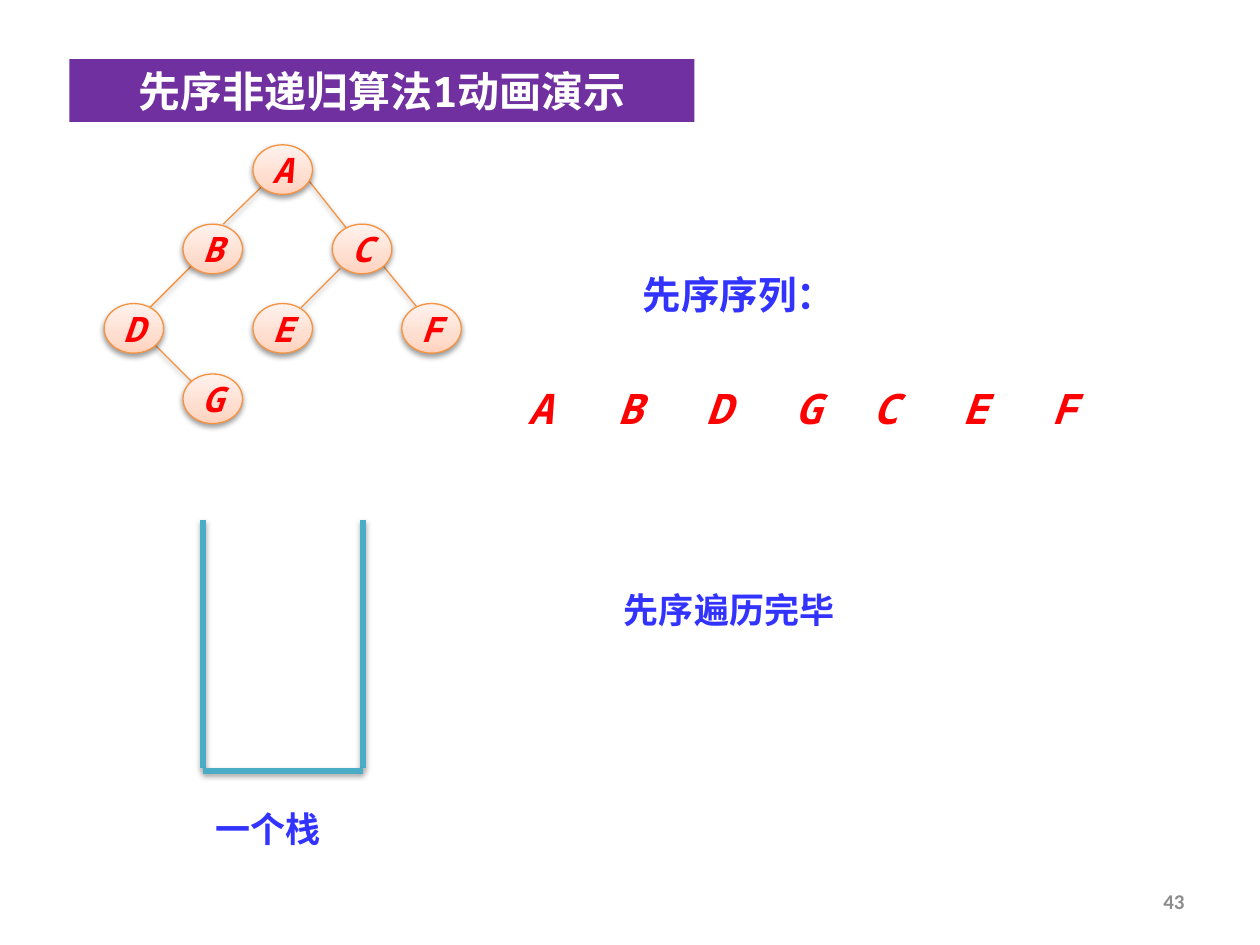
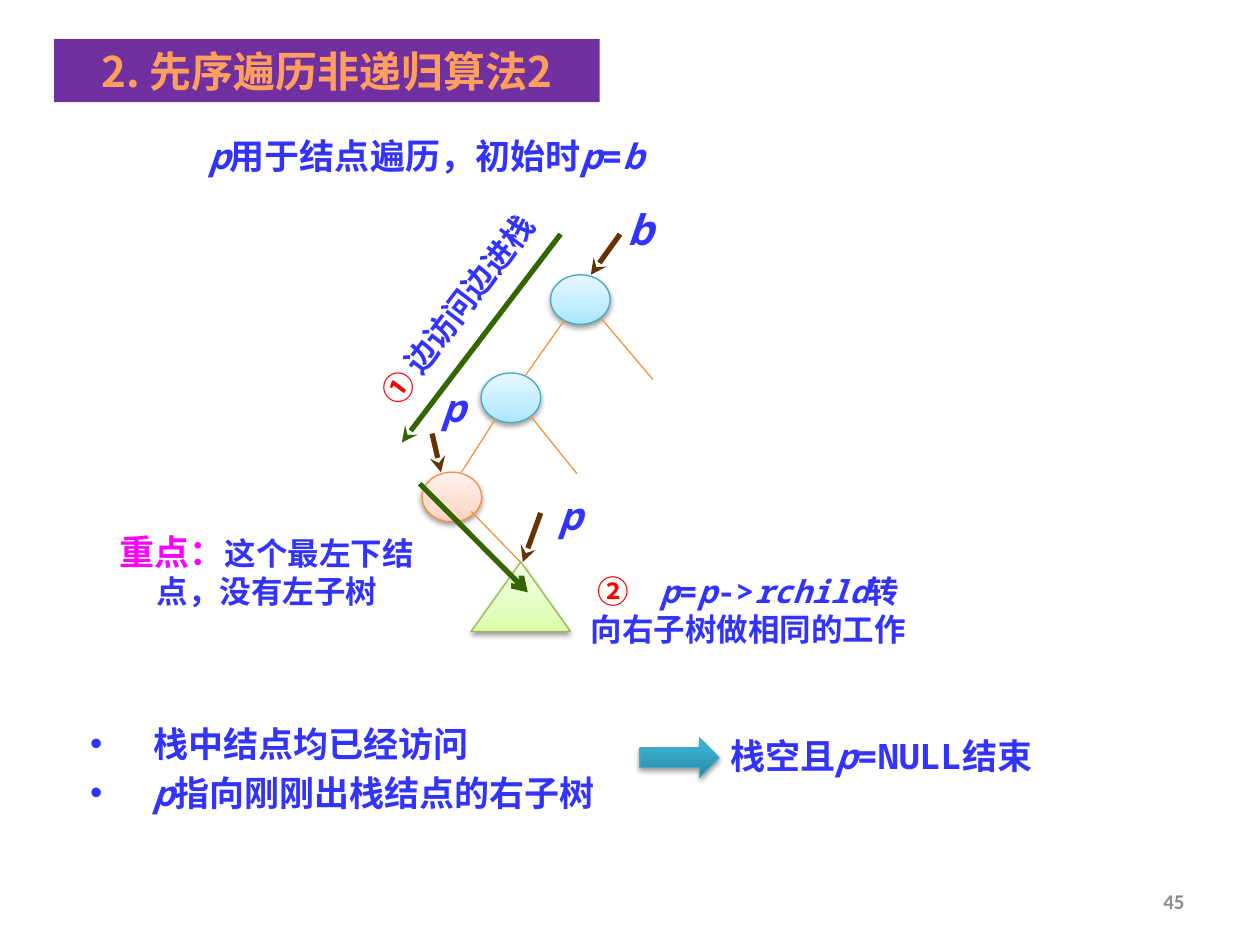
"""Build two slides on non-recursive preorder traversal of a binary tree."""
from dataclasses import dataclass

from lxml import etree
from pptx import Presentation
from pptx import util as u
from pptx.dml import color as dml
from pptx.enum import shapes, text
from pptx.oxml import ns


@dataclass(frozen=True)
class Theme:
    """Colours, fonts and type sizes shared by the slides."""
    band: str = "7030A0"
    white: str = "FFFFFF"
    blue: str = "3333FF"
    red: str = "FF0000"
    magenta: str = "FF00FF"
    grey: str = "8C8C8C"
    edge: str = "F69240"
    stack: str = "4BACC6"
    brown: str = "663300"
    green: str = "336600"
    mono: str = "Noto Sans Mono"
    cjk: str = "Noto Sans CJK SC"
    serif: str = "Times New Roman"
    footer: str = "Calibri"
    title_size: int = 24
    letter_size: int = 24
    label_size: int = 22
    body_size: int = 20
    step_size: int = 18
    number_size: int = 12


T = Theme()
ORANGE = ((0, "FFD2BD"), (35, "FFDED0"), (100, "FFF2ED")), T.edge
SKY = ((0, "A7E6FF"), (35, "C1EDFF"), (100, "E7F8FF")), "46AAC5"
LIME = ((0, "DAFDA7"), (35, "E4FCC2"), (100, "F5FFE7")), "98B955"
TEAL = ((0, "2A88A2"), (80, "37B1D2"), (100, "34B4D6")), "46AAC5"
TITLE_GLOW = ((0, "FFA367"), (25, "FF9F5D"), (50, "F38E3A"), (75, "FF9F5D"), (100, "FFA367"))
ITALIC = {"italic": True}
CENTER = text.PP_ALIGN.CENTER
OVAL = shapes.MSO_SHAPE.OVAL

NODE_SIZE = (1.2, 1)
TREE_NODES = {"A": (5.1, 2.92), "B": (3.69, 4.52), "C": (6.7, 4.52), "D": (2.1, 6.12),
              "E": (5.1, 6.12), "F": (8.1, 6.12), "G": (3.69, 7.54)}
TREE_EDGES = [(3.1, 6.93, 3.89, 7.72), (5.31, 3.73, 4.5, 4.52), (6.2, 3.61, 7.04, 4.67),
              (3.89, 5.33, 2.9, 6.32), (6.86, 5.41, 6.07, 6.2), (7.7, 5.33, 8.51, 6.32)]
STACK_WALLS = [(4.09, 10.49, 4.09, 15.49), (7.32, 10.49, 7.32, 15.49),
               (4.09, 15.54, 7.32, 15.54)]
SEQUENCE = [("ABDG", 10.29), ("CEF", 17.25)]
SEQUENCE_STEP = 1.8
DEMO_LABELS = [
    ("一个栈", (4.09, 16.15, 3.2, 1.12), {"align": None}),
    ("先序序列：", (12.5, 5.33, 4.8, 1.19), {"size": T.label_size}),
    ("先序遍历完毕", (10.9, 11.73, 7.6, 1.12), {}),
]

PATH_NODES = [(11.1, 5.54, SKY), (9.7, 7.52, SKY), (8.51, 9.52, ORANGE)]
PATH_EDGES = [(11.38, 6.45, 10.59, 7.57), (10, 8.43, 9.3, 9.52), (12.12, 6.42, 13.16, 7.65),
              (9.5, 10.31, 10.49, 11.33), (10.69, 8.38, 11.63, 9.55)]
PATH_ARROWS = [
    (T.brown, "stealth", (12.5, 4.72, 11.91, 5.54)),
    (T.brown, "stealth", (8.71, 8.74, 8.89, 9.52)),
    (T.brown, "stealth", (10.9, 10.34, 10.54, 11.33)),
    (T.green, "stealth", (11.3, 4.72, 8.1, 8.92)),
    (T.green, "arrow", (8.46, 9.75, 10.64, 11.94)),
]
POINTERS = [("b", (12.5, 4.11, 0.8, 1.02), T.letter_size),
            ("p", (8.74, 7.75, 0.8, 0.94), T.label_size),
            ("p", (11.1, 9.91, 0.8, 0.94), T.label_size)]
INTRO = [("p", ITALIC), ("用于结点遍历，初始时", {}), ("p", ITALIC), ("=", {}), ("b", ITALIC)]
KEY_POINT = [("重点：", {"color": T.magenta, "size": T.body_size}),
             ("这个最左下结点，没有左子树", {})]
STEP_ONE = [("① ", {"color": T.red}), ("边访问边进栈", {})]
STEP_TWO = [("②　", {"color": T.red}), ("p", ITALIC), ("=", {}), ("p", ITALIC), ("->", {}),
            ("rchild", ITALIC), ("转向右子树做相同的工作", {})]
FACTS = [[("栈中结点均已经访问", {})], [("p", ITALIC), ("指向刚刚出栈结点的右子树", {})]]
ENDING = [("栈空且", {}), ("p", ITALIC), ("=NULL结束", {})]


def rgb(code):
    """Turn a hex code into a colour."""
    return dml.RGBColor.from_string(code)


def child(parent, tag, **attributes):
    """Add a DrawingML element to a parent."""
    return etree.SubElement(parent, ns.qn("a:" + tag), attributes)


def paint(fill, owner, stops, angle=90):
    """Fill with a gradient whose stops are percent and colour."""
    fill.gradient()
    fill.gradient_angle = angle
    stop_list = owner.find(ns.qn("a:gradFill")).find(ns.qn("a:gsLst"))
    for old in list(stop_list):
        stop_list.remove(old)
    for percent, code in stops:
        child(child(stop_list, "gs", pos=str(percent * 1000)), "srgbClr", val=code)


def set_effects(part, shadow):
    """Give a shape or connector a soft shadow, or none."""
    effects = child(part.element.spPr, "effectLst")
    if shadow:
        outer = child(effects, "outerShdw", blurRad="40000", dist="20000", dir="5400000",
                      rotWithShape="0")
        child(child(outer, "srgbClr", val="000000"), "alpha", val="38000")


def write(part, content, size=T.body_size, color=T.blue, font=T.mono, bold=True, italic=False,
          align=None, anchor=text.MSO_ANCHOR.TOP, inset=None, wrap=True, bullet=False):
    """Write a string, a list of runs or a list of paragraphs into a part."""
    if isinstance(content, str):
        content = [(content, {})]
    paragraphs = content if isinstance(content[0], list) else [content]
    frame = part.text_frame
    frame.auto_size = text.MSO_AUTO_SIZE.NONE
    frame.word_wrap, frame.vertical_anchor = wrap, anchor
    if inset is not None:
        frame.margin_left = frame.margin_right = u.Cm(inset)
        frame.margin_top = frame.margin_bottom = u.Cm(inset)
    for index, runs in enumerate(paragraphs):
        paragraph = frame.add_paragraph() if index else frame.paragraphs[0]
        if align is not None:
            paragraph.alignment = align
        if bullet:
            paragraph.line_spacing = u.Pt(28)
            properties = paragraph._p.get_or_add_pPr()
            properties.set("marL", str(u.Cm(1.27)))
            properties.set("indent", str(u.Cm(-1.27)))
            child(properties, "buFont", typeface="Arial")
            child(properties, "buChar", char="•")
        for words, own in runs:
            run = paragraph.add_run()
            run.text = words
            run.font.size = u.Pt(own.get("size", size))
            run.font.bold, run.font.italic = bold, own.get("italic", italic)
            run.font.name = font
            properties = run._r.get_or_add_rPr()
            tone = own.get("color", color)
            if isinstance(tone, str):
                run.font.color.rgb = rgb(tone)
            else:
                paint(run.font.fill, properties, tone, angle=270)
            child(properties, "ea", typeface=T.cjk)


def add_label(slide, content, box, **form):
    """Add a text box with formatted text."""
    label = slide.shapes.add_textbox(*map(u.Cm, box))
    write(label, content, **form)
    return label


def add_figure(slide, kind, box, look):
    """Add a shaded preset shape with a gradient fill."""
    stops, outline = look
    figure = slide.shapes.add_shape(kind, *map(u.Cm, box))
    paint(figure.fill, figure.element.spPr, stops)
    figure.line.color.rgb = rgb(outline)
    figure.line.width = u.Pt(0.75)
    set_effects(figure, True)
    return figure


def add_line(slide, ends, color, width, head=None, shadow=False):
    """Add a straight line, with an arrowhead at its end if asked."""
    line = slide.shapes.add_connector(shapes.MSO_CONNECTOR.STRAIGHT, *map(u.Cm, ends))
    line.line.color.rgb = rgb(color)
    line.line.width = u.Pt(width)
    if head:
        child(line.element.spPr.find(ns.qn("a:ln")), "tailEnd", type=head)
    set_effects(line, shadow)


def start_slide(deck, heading, box, number, **form):
    """Add a slide with its title band and page number."""
    slide = deck.slides.add_slide(deck.slide_layouts[5])
    title = slide.shapes.title
    title.left, title.top, title.width, title.height = map(u.Cm, box)
    title.fill.solid()
    title.fill.fore_color.rgb = rgb(T.band)
    write(title, heading, size=T.title_size, align=CENTER, **form)
    add_label(slide, number, (18.21, 17.65, 5.92, 1.02), size=T.number_size, color=T.grey,
              font=T.footer, align=text.PP_ALIGN.RIGHT, anchor=text.MSO_ANCHOR.MIDDLE)
    return slide


def build_demo(deck):
    """Show the tree, the empty stack and the finished preorder sequence."""
    slide = start_slide(deck, "先序非递归算法1动画演示", (1.4, 1.19, 12.6, 1.27), "43",
                        color=T.white)
    for ends in TREE_EDGES:
        add_line(slide, ends, T.edge, 0.75, shadow=True)
    for letter, place in TREE_NODES.items():
        node = add_figure(slide, OVAL, place + NODE_SIZE, ORANGE)
        write(node, letter, color=T.red, italic=True, align=CENTER, wrap=False,
              anchor=text.MSO_ANCHOR.MIDDLE)
    for ends in STACK_WALLS:
        add_line(slide, ends, T.stack, 3, shadow=True)
    for words, box, form in DEMO_LABELS:
        add_label(slide, words, box, **{"align": CENTER, **form})
    for letters, left in SEQUENCE:
        for index, letter in enumerate(letters):
            add_label(slide, letter, (left + index * SEQUENCE_STEP, 7.72, 1.2, 1.02),
                      size=T.letter_size, color=T.red, italic=True, align=CENTER, inset=0)


def build_algorithm(deck):
    """Show how the pointer walks down the left path and turns right."""
    slide = start_slide(deck, "2. 先序遍历非递归算法2", (1.09, 0.79, 11, 1.27), "45",
                        color=TITLE_GLOW, font=T.cjk)
    for left, top, look in PATH_NODES:
        add_figure(slide, OVAL, (left, top) + NODE_SIZE, look)
    for ends in PATH_EDGES:
        add_line(slide, ends, T.edge, 0.75)
    add_figure(slide, shapes.MSO_SHAPE.ISOSCELES_TRIANGLE, (9.5, 11.33, 2, 1.4), LIME)
    for color, head, ends in PATH_ARROWS:
        add_line(slide, ends, color, 3, head=head)
    for letter, box, size in POINTERS:
        add_label(slide, letter, box, size=size, italic=True, align=CENTER, inset=0)
    add_label(slide, INTRO, (3.96, 2.59, 11.4, 1.12))
    add_label(slide, KEY_POINT, (2.18, 10.69, 6.4, 1.63), size=T.step_size, font=T.serif,
              align=CENTER, inset=0)
    step_one = add_label(slide, STEP_ONE, (5.77, 5.72, 6.9, 1.02), size=T.step_size,
                         font=T.serif, align=CENTER)
    step_one.rotation = 307.4
    add_label(slide, STEP_TWO, (11.91, 11.53, 6.35, 1.55), size=T.step_size, align=CENTER,
              inset=0)
    add_label(slide, FACTS, (1.57, 14.3, 10.72, 2.26), bullet=True)
    add_label(slide, ENDING, (14.48, 14.68, 8.53, 1.12))
    add_figure(slide, shapes.MSO_SHAPE.RIGHT_ARROW, (12.9, 14.88, 1.6, 0.79), TEAL)


def main():
    """Build and save the deck."""
    deck = Presentation()
    deck.slide_width, deck.slide_height = u.Cm(25.4), u.Cm(19.05)
    build_demo(deck)
    build_algorithm(deck)
    deck.save("out.pptx")


if __name__ == "__main__":
    main()
